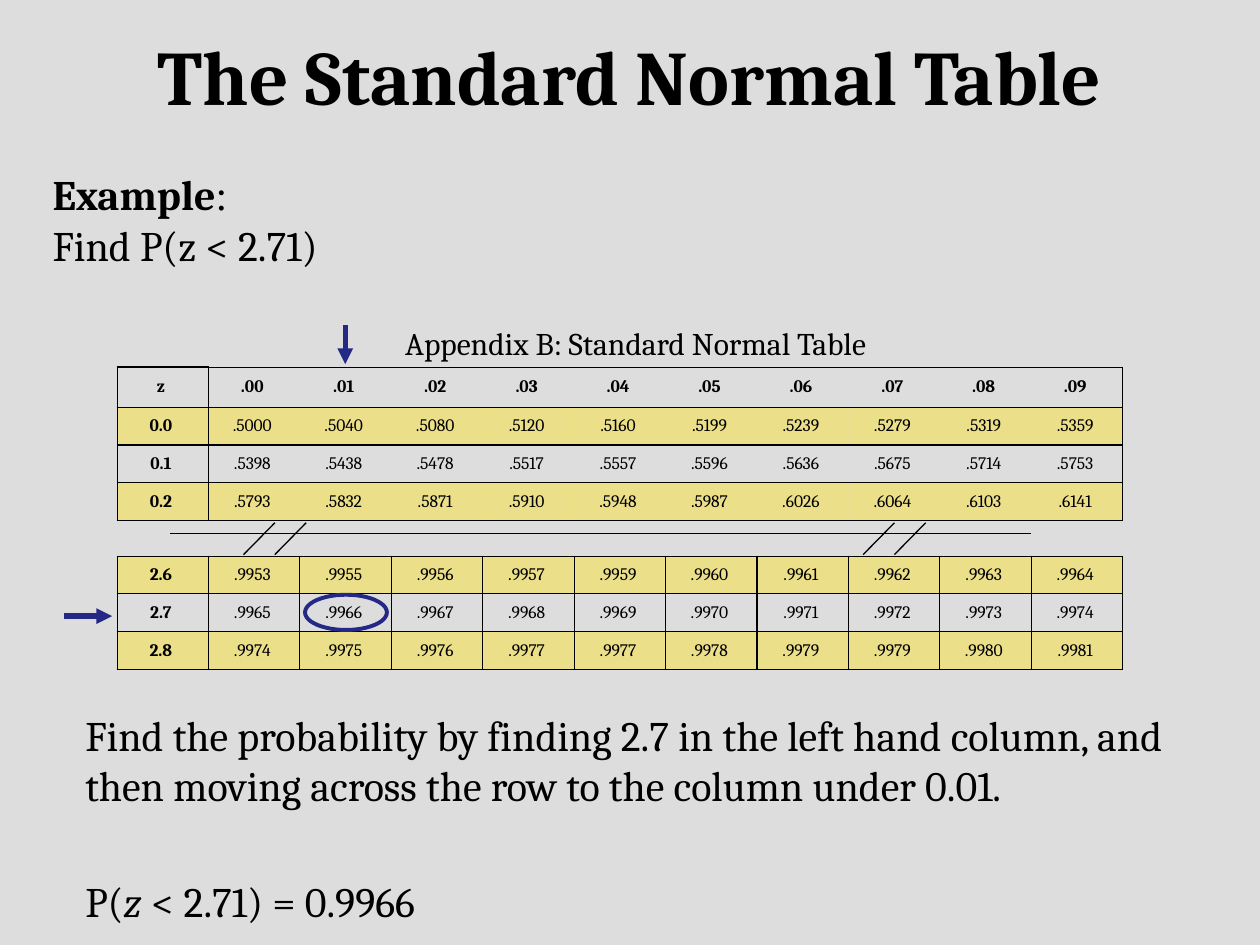
from lxml import etree
from pptx import Presentation
from pptx import util as u
from pptx.dml.color import RGBColor
from pptx.enum import shapes, text
from pptx.oxml.ns import qn

BLACK, NAVY, YELLOW, GREY = "000000", "242985", "FBE136", "DDDDDD"
TABLE_LEFT, COLUMN_WIDTH = 2.36, 1.843
UPPER_ROWS = [
    "z .00 .01 .02 .03 .04 .05 .06 .07 .08 .09",
    "0.0 .5000 .5040 .5080 .5120 .5160 .5199 .5239 .5279 .5319 .5359",
    "0.1 .5398 .5438 .5478 .5517 .5557 .5596 .5636 .5675 .5714 .5753",
    "0.2 .5793 .5832 .5871 .5910 .5948 .5987 .6026 .6064 .6103 .6141",
]
LOWER_ROWS = [
    "2.6 .9953 .9955 .9956 .9957 .9959 .9960 .9961 .9962 .9963 .9964",
    "2.7 .9965 .9966 .9967 .9968 .9969 .9970 .9971 .9972 .9973 .9974",
    "2.8 .9974 .9975 .9976 .9977 .9977 .9978 .9979 .9979 .9980 .9981",
]


def color(value):
    return RGBColor.from_string(value)


def add_span(para, wording, size=24, font="Cambria", bold=False, italic=False):
    span = para.add_run()
    span.text = wording
    span.font.size = u.Pt(size)
    span.font.name = font
    span.font.bold = bold
    span.font.italic = italic
    span.font.color.rgb = color(BLACK)


def add_text(slide, left, top, width, height, paragraphs):
    """Each paragraph is a list of (wording, format) pairs."""
    box = slide.shapes.add_textbox(u.Cm(left), u.Cm(top), u.Cm(width), u.Cm(height))
    frame = box.text_frame
    frame.word_wrap = True
    for number, spans in enumerate(paragraphs):
        para = frame.add_paragraph() if number else frame.paragraphs[0]
        for wording, style in spans:
            add_span(para, wording, **style)


def format_title(slide, wording):
    title = slide.shapes.title
    title.left, title.top = u.Cm(0), u.Cm(0.51)
    title.width, title.height = u.Cm(25.4), u.Cm(2)
    frame = title.text_frame
    frame.vertical_anchor = text.MSO_ANCHOR.MIDDLE
    frame.auto_size = text.MSO_AUTO_SIZE.NONE
    para = frame.paragraphs[0]
    para.alignment = text.PP_ALIGN.CENTER
    add_span(para, wording, size=44, bold=True)


def set_borders(cell, widths):
    """Widths in points for left, right, top and bottom; 0 hides the side."""
    properties = cell._tc.get_or_add_tcPr()
    for place, (side, width) in enumerate(zip("LRTB", widths)):
        border = etree.Element(qn(f"a:ln{side}"), w=str(u.Pt(width)))
        if width:
            fill = etree.SubElement(border, qn("a:solidFill"))
            etree.SubElement(fill, qn("a:srgbClr"), val=BLACK)
        else:
            etree.SubElement(border, qn("a:noFill"))
        properties.insert(place, border)


def upper_borders(column, last):
    if column == 0:
        return 0.75, 1, 1, 1
    return (1 if column == 1 else 0), (0.75 if column == last else 0), 0.75, 0.75


def lower_borders(column, last):
    return 0.75, 0.75, 0.75, 0.75


def fill_cell(cell, shaded):
    if not shaded:
        cell.fill.background()
        return
    cell.fill.solid()
    cell.fill.fore_color.rgb = color(YELLOW)
    tint = cell._tc.tcPr.find(f".//{qn('a:srgbClr')}")
    etree.SubElement(tint, qn("a:alpha"), val="50000")


def add_normal_table(slide, top, lines, heights, first_shaded, borders):
    """Shade every second row, starting at first_shaded."""
    rows = [line.split() for line in lines]
    count = len(rows[0])
    frame = slide.shapes.add_table(
        len(rows), count, u.Cm(TABLE_LEFT), u.Cm(top),
        u.Cm(COLUMN_WIDTH * count), u.Cm(sum(heights)))
    table = frame.table
    table.first_row = table.horz_banding = False
    for column in table.columns:
        column.width = u.Cm(COLUMN_WIDTH)
    for r, values in enumerate(rows):
        table.rows[r].height = u.Cm(heights[r])
        for c, value in enumerate(values):
            cell = table.cell(r, c)
            cell.vertical_anchor = text.MSO_ANCHOR.MIDDLE
            para = cell.text_frame.paragraphs[0]
            para.alignment = text.PP_ALIGN.CENTER
            add_span(para, f"{value} ", size=10, bold=c == 0 or value == values[c] and rows[r][0] == "z")
            fill_cell(cell, r % 2 == first_shaded)
            set_borders(cell, borders(c, count - 1))


def add_line(parent, start, end, tint=BLACK, width=0.75, arrow=False):
    line = parent.shapes.add_connector(
        shapes.MSO_CONNECTOR.STRAIGHT, *(u.Cm(value) for value in (*start, *end)))
    line.line.color.rgb = color(tint)
    line.line.width = u.Pt(width)
    if arrow:
        etree.SubElement(line.line._get_or_add_ln(), qn("a:tailEnd"), type="triangle")
    etree.SubElement(line._element.spPr, qn("a:effectLst"))


def add_break_mark(slide):
    """A rule with two pairs of slashes, for the rows left out."""
    group = slide.shapes.add_group_shape()
    add_line(group, (3.43, 10.75), (20.78, 10.75))
    for pair in (5.54, 18.03):
        for left in (pair, pair + 0.63):
            add_line(group, (left, 10.54), (left - 0.63, 11.18))


def add_ring(slide, left, top, width, height):
    ring = slide.shapes.add_shape(
        shapes.MSO_SHAPE.OVAL, u.Cm(left), u.Cm(top), u.Cm(width), u.Cm(height))
    ring.shadow.inherit = False
    ring.fill.background()
    ring.line.color.rgb = color(NAVY)
    ring.line.width = u.Pt(2.25)


def main():
    deck = Presentation()
    deck.slide_width, deck.slide_height = u.Cm(25.4), u.Cm(19.05)
    slide = deck.slides.add_slide(deck.slide_layouts[5])
    slide.background.fill.solid()
    slide.background.fill.fore_color.rgb = color(GREY)

    format_title(slide, "The Standard Normal Table")
    add_text(slide, 0.81, 3.28, 22.28, 2.31, [
        [("Example", {"bold": True}), (":", {"font": "Times New Roman"})],
        [("Find P(z < 2.71)", {})],
    ])
    add_normal_table(slide, 7.4, UPPER_ROWS, [0.81] + [0.76] * 3, 1, upper_borders)
    add_normal_table(slide, 11.21, LOWER_ROWS, [0.76] * 3, 0, lower_borders)
    add_break_mark(slide)
    add_ring(slide, 6.15, 11.99, 1.65, 0.71)
    add_text(slide, 1.47, 14.17, 22.86, 3.33, [[
        ("Find the probability by finding 2.7 in the left hand column, and then "
         "moving across the row to the column under 0.01.", {})]])
    add_text(slide, 1.47, 17.53, 21.39, 1.27, [[
        ("P(", {}), ("z", {"italic": True}), (" < 2.71) = 0.9966", {})]])
    add_text(slide, 7.92, 6.4, 11.28, 1.02, [[
        ("Appendix B: Standard Normal Table", {"size": 18})]])
    add_line(slide, (1.3, 12.42), (2.26, 12.42), NAVY, 3, arrow=True)
    add_line(slide, (6.96, 6.55), (6.96, 7.34), NAVY, 3, arrow=True)
    deck.save("out.pptx")


if __name__ == "__main__":
    main()
